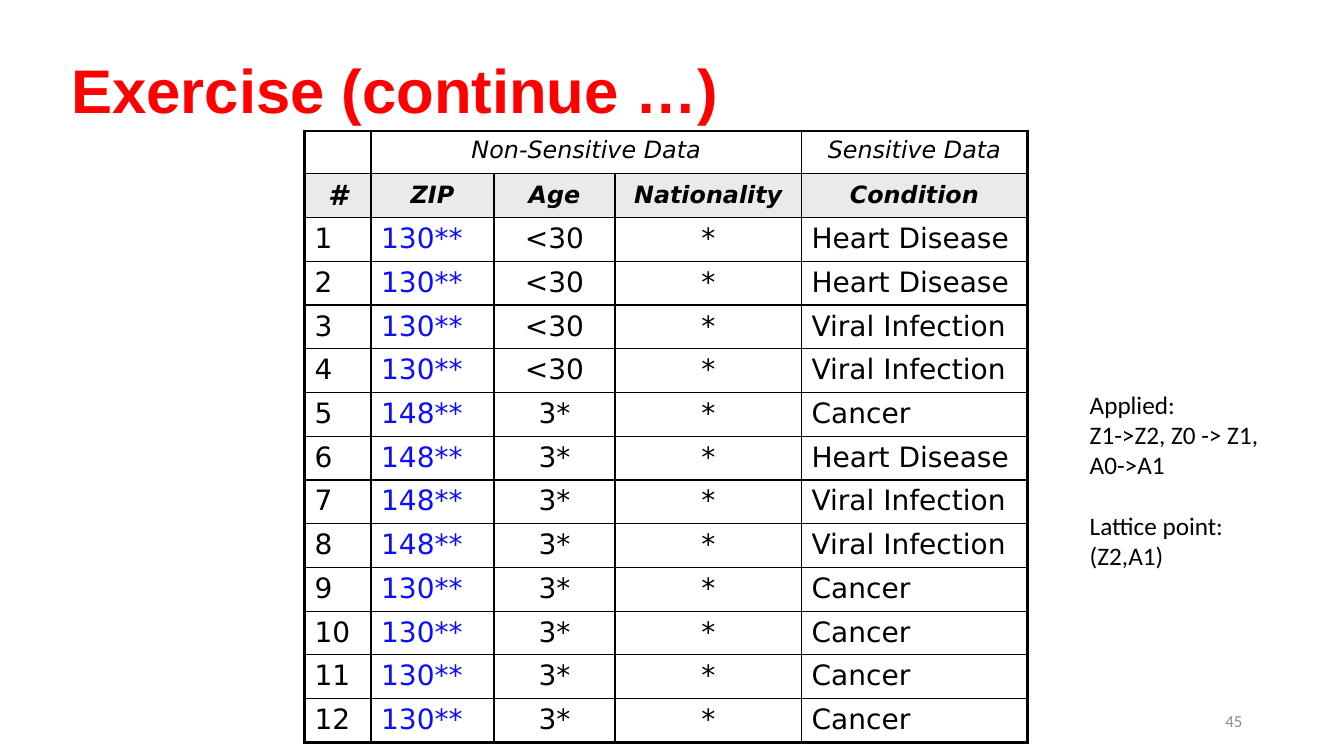
from lxml import etree
from pptx import Presentation
from pptx.dml.color import RGBColor
from pptx.enum.text import MSO_ANCHOR, PP_ALIGN
from pptx.oxml.ns import qn
from pptx.util import Inches, Pt

LEFT, CENTER, RIGHT = PP_ALIGN.LEFT, PP_ALIGN.CENTER, PP_ALIGN.RIGHT
TOP, MIDDLE = MSO_ANCHOR.TOP, MSO_ANCHOR.MIDDLE

# Content
TITLE = "Exercise (continue …)"
PAGE = "45"
NOTES = ["Applied:", "Z1->Z2, Z0 -> Z1, A0->A1", "Lattice point:", "(Z2,A1)"]
GROUPS = ["", "Non-Sensitive Data", "", "", "Sensitive Data"]
HEADER = ["#", "ZIP", "Age", "Nationality", "Condition"]
PATIENTS = [  # ZIP, age, condition
    ("130**", "<30", "Heart Disease"),
    ("130**", "<30", "Heart Disease"),
    ("130**", "<30", "Viral Infection"),
    ("130**", "<30", "Viral Infection"),
    ("148**", "3*", "Cancer"),
    ("148**", "3*", "Heart Disease"),
    ("148**", "3*", "Viral Infection"),
    ("148**", "3*", "Viral Infection"),
    ("130**", "3*", "Cancer"),
    ("130**", "3*", "Cancer"),
    ("130**", "3*", "Cancer"),
    ("130**", "3*", "Cancer"),
]
ROWS = [GROUPS, HEADER] + [
    [str(n), zip_code, age, "*", condition]
    for n, (zip_code, age, condition) in enumerate(PATIENTS, 1)
]

# Look and layout, in inches and points
COLORS = {"title": "FF0000", "text": "000000", "zip": "0D0EFF",
          "header": "EAEAEA", "page": "8C8C8C"}
SLIDE_W, SLIDE_H = 13.33, 7.5
TABLE_X, TABLE_Y, TABLE_H = 3.02, 1.3, 5.94
COL_W = [0.66, 1.22, 1.2, 1.85, 2.24]
COL_ALIGN = [LEFT, LEFT, CENTER, CENTER, LEFT]
TABLE_FONT = "DejaVu Sans"
THIN, THICK = 1, 2.25


def write(tf, text, size=18, font="Calibri", color="text", bold=False,
          italic=False, align=LEFT, spacing=None, before=0, new=False):
    p = tf.add_paragraph() if new else tf.paragraphs[0]
    p.alignment = align
    p.space_before = Pt(before)
    if spacing:
        p.line_spacing = spacing
    r = p.add_run()
    r.text = text
    r.font.size, r.font.name = Pt(size), font
    r.font.bold, r.font.italic = bold, italic
    r.font.color.rgb = RGBColor.from_string(COLORS[color])


def text_box(s, x, y, w, h, anchor=TOP):
    tf = s.shapes.add_textbox(Inches(x), Inches(y), Inches(w), Inches(h)).text_frame
    tf.word_wrap = True
    tf.vertical_anchor = anchor
    return tf


def set_borders(cell, widths):
    tc_pr = cell._tc.get_or_add_tcPr()
    for side, width in widths.items():
        ln = etree.SubElement(tc_pr, qn("a:ln" + side), w=str(Pt(width)))
        fill = etree.SubElement(ln, qn("a:solidFill"))
        etree.SubElement(fill, qn("a:srgbClr"), val=COLORS["text"])


def add_patient_table(s):
    n_rows, n_cols = len(ROWS), len(COL_W)
    table = s.shapes.add_table(n_rows, n_cols, Inches(TABLE_X), Inches(TABLE_Y),
                               Inches(sum(COL_W)), Inches(TABLE_H)).table
    table.first_row = table.horz_banding = False
    for col, width in zip(table.columns, COL_W):
        col.width = Inches(width)
    for row in table.rows:
        row.height = Inches(TABLE_H / n_rows)
    table.cell(0, 1).merge(table.cell(0, 3))

    for i, row in enumerate(ROWS):
        for j, text in enumerate(row):
            cell = table.cell(i, j)
            # Thick frame, thin inner lines
            set_borders(cell, {
                "L": THICK if j == 0 else THIN,
                "R": THICK if j == n_cols - 1 else THIN,
                "T": THICK if i == 0 else THIN,
                "B": THICK if i == n_rows - 1 else THIN,
            })
            if i == 1:
                cell.fill.solid()
                cell.fill.fore_color.rgb = RGBColor.from_string(COLORS["header"])
                cell.vertical_anchor = MIDDLE
            else:
                cell.fill.background()
            if text:
                heading = i < 2
                write(cell.text_frame, text, font=TABLE_FONT,
                      size=17 if heading and text != "#" else 20,
                      color="zip" if j == 1 and not heading else "text",
                      bold=i == 1, italic=heading,
                      align=CENTER if heading else COL_ALIGN[j])


def main():
    prs = Presentation()
    prs.slide_width, prs.slide_height = Inches(SLIDE_W), Inches(SLIDE_H)
    s = prs.slides.add_slide(prs.slide_layouts[6])

    # Title
    write(text_box(s, 0.61, 0.2, 11.5, 1.45, MIDDLE), TITLE, size=44,
          font="Arial", color="title", bold=True, spacing=0.9)

    # Table
    add_patient_table(s)

    # Page number
    write(text_box(s, 9.42, 6.95, 3, 0.4, MIDDLE), PAGE, size=12,
          color="page", align=RIGHT)

    # Side notes, with a one-line gap above the lattice point
    tf = text_box(s, 10.71, 3.81, 1.97, 2.22)
    for i, line in enumerate(NOTES):
        write(tf, line, before=22 if i == 2 else 0, new=i > 0)

    prs.save("out.pptx")


if __name__ == "__main__":
    main()
